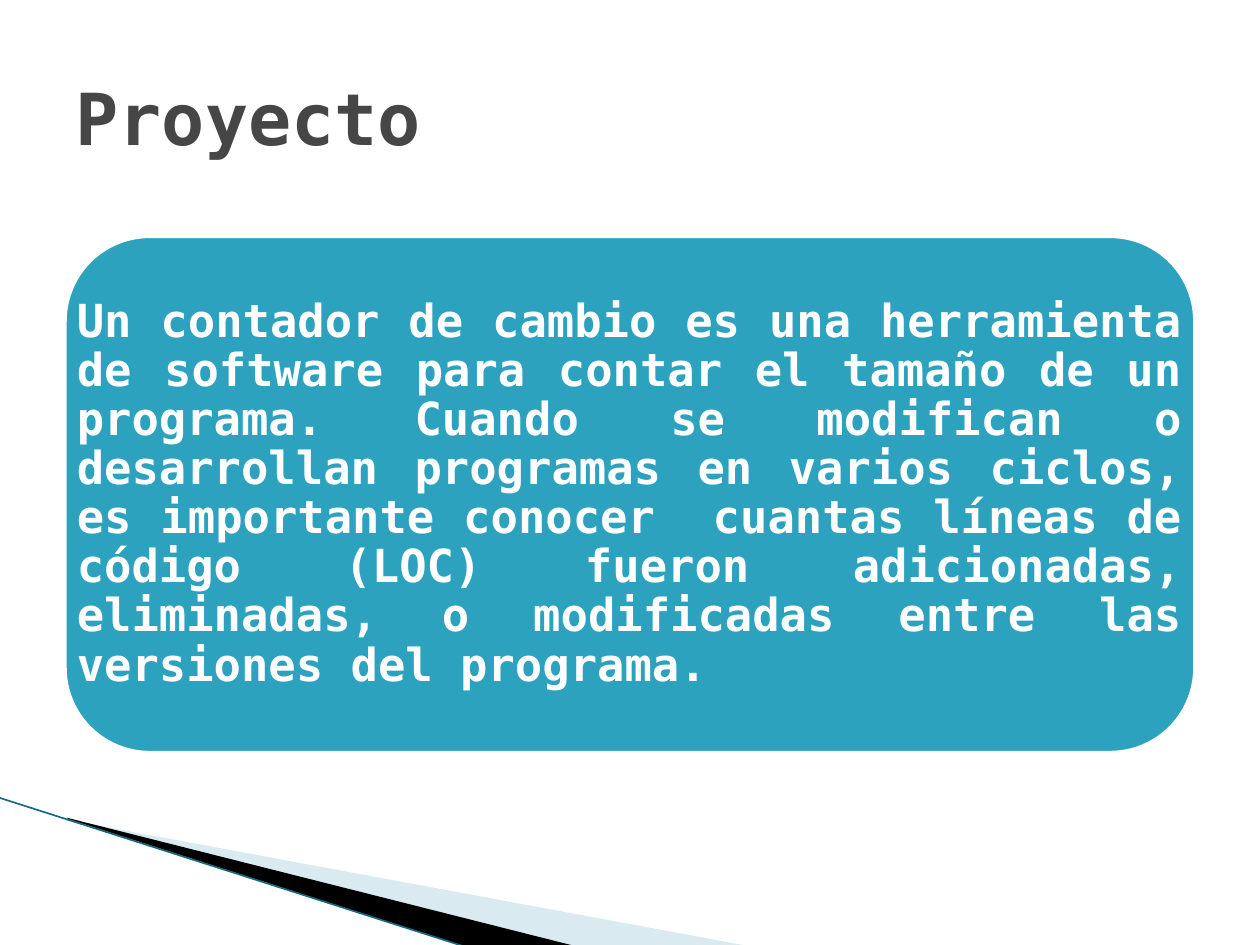
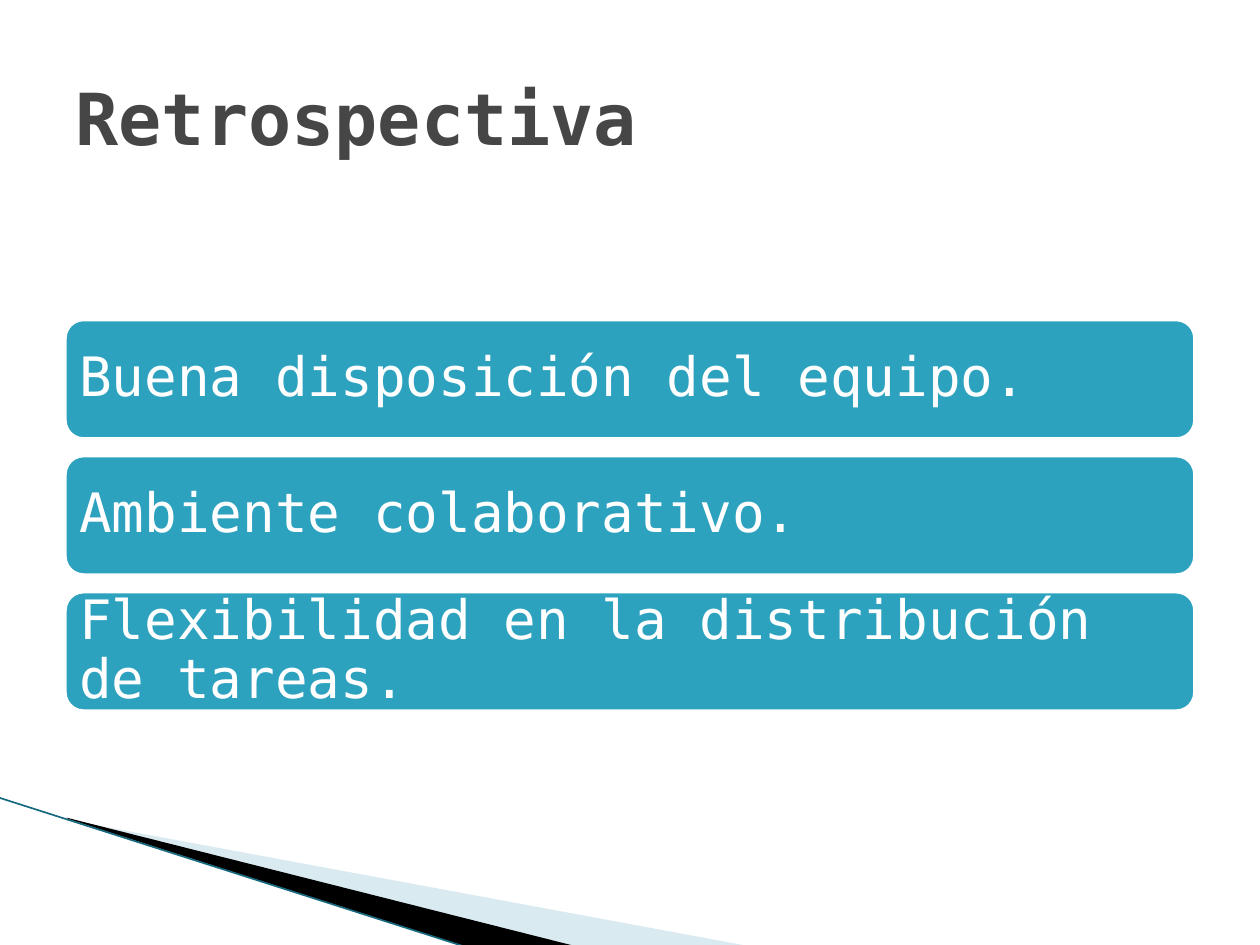
"""Build the project and retrospective slides."""
import pptx
import pptx.util
import pptx.dml.color
import pptx.enum.shapes
import pptx.enum.text
import pptx.oxml.ns
from lxml import etree

Inches = pptx.util.Inches
Align = pptx.enum.text.PP_ALIGN
COLORS = {"panel": "2DA2BF", "white": "FFFFFF", "title": "464646",
          "pale": "A0CBDC", "black": "000000", "edge": "17697F"}
RGB = {name: pptx.dml.color.RGBColor.from_string(value) for name, value in COLORS.items()}
FONT = "DejaVu Sans Mono"
LEFT, WIDTH = 0.5, 9

WEDGES = [
    ("pale", 40, [(0.55, 6.51), (5.95, 7.51), (4.56, 7.51), (0.55, 6.5)]),
    ("black", 100, [(0.53, 6.49), (4.57, 7.51), (3.72, 7.52), (0.54, 6.5)]),
]
SLIDES = [
    {"title": "Proyecto", "top": 1.86, "height": 4.13, "pitch": 0, "inset": 0.11,
     "align": Align.JUSTIFY, "font": {"size": pptx.util.Pt(26), "bold": True},
     "panels": ["Un contador de cambio es una herramienta de software para contar el "
                "tamaño de un programa. Cuando se modifican o desarrollan programas en "
                "varios ciclos, es importante conocer  cuantas líneas de código (LOC) "
                "fueron adicionadas, eliminadas, o modificadas entre las versiones del "
                "programa."]},
    {"title": "Retrospectiva", "top": 2.52, "height": 0.98, "pitch": 1.08, "inset": 0.13,
     "align": Align.LEFT, "font": {"size": pptx.util.Pt(31), "bold": False},
     "panels": ["Buena disposición del equipo.", "Ambiente colaborativo.",
                "Flexibilidad en la distribución de tareas."]},
]


def write_text(shape, text, align, color, font_format):
    frame = shape.text_frame
    frame.word_wrap = True
    frame.auto_size = pptx.enum.text.MSO_AUTO_SIZE.NONE
    frame.vertical_anchor = pptx.enum.text.MSO_ANCHOR.MIDDLE
    paragraph = frame.paragraphs[0]
    paragraph.alignment = align
    run = paragraph.add_run()
    run.text = text
    run.font.color.rgb = RGB[color]
    for name, value in {"name": FONT, **font_format}.items():
        setattr(run.font, name, value)
    return frame, paragraph


def add_decoration(slide):
    for color, opacity, points in WEDGES:
        corners = [(Inches(x), Inches(y)) for x, y in points]
        builder = slide.shapes.build_freeform(*corners[0])
        builder.add_line_segments(corners[1:], close=True)
        wedge = builder.convert_to_shape()
        wedge.shadow.inherit = False
        wedge.fill.solid()
        wedge.fill.fore_color.rgb = RGB[color]
        wedge.line.fill.background()
        if opacity < 100:
            fill_color = wedge.fill._xPr.find(".//" + pptx.oxml.ns.qn("a:srgbClr"))
            etree.SubElement(fill_color, pptx.oxml.ns.qn("a:alpha"), val=str(opacity * 1000))
    edge = slide.shapes.add_connector(
        pptx.enum.shapes.MSO_CONNECTOR.STRAIGHT,
        Inches(-0.01), Inches(6.33), Inches(3.71), Inches(7.52))
    edge.line.color.rgb = RGB["edge"]
    edge.line.width = pptx.util.Pt(0.95)
    etree.SubElement(edge._element.spPr, pptx.oxml.ns.qn("a:effectLst"))


presentation = pptx.Presentation()
presentation.slide_width = Inches(10)
presentation.slide_height = Inches(7.5)

for content in SLIDES:
    slide = presentation.slides.add_slide(presentation.slide_layouts[5])
    add_decoration(slide)
    title = slide.shapes.title
    title_box = {"left": LEFT, "top": 0.3, "width": WIDTH, "height": 1.25}
    for name, value in title_box.items():
        setattr(title, name, Inches(value))
    write_text(title, content["title"], Align.LEFT, "title",
               {"size": pptx.util.Pt(41), "bold": True})

    for index, text in enumerate(content["panels"]):
        top = content["top"] + index * content["pitch"]
        box = [Inches(value) for value in (LEFT, top, WIDTH, content["height"])]
        panel = slide.shapes.add_shape(pptx.enum.shapes.MSO_SHAPE.ROUNDED_RECTANGLE, *box)
        panel.shadow.inherit = False
        panel.fill.solid()
        panel.fill.fore_color.rgb = RGB["panel"]
        panel.line.color.rgb = RGB["white"]
        panel.line.width = pptx.util.Pt(4.33)
        label = slide.shapes.add_textbox(*box)
        frame, paragraph = write_text(label, text, content["align"], "white", content["font"])
        paragraph.line_spacing = 0.9
        for side in ("left", "top", "right", "bottom"):
            setattr(frame, f"margin_{side}", Inches(content["inset"]))

presentation.save("out.pptx")
